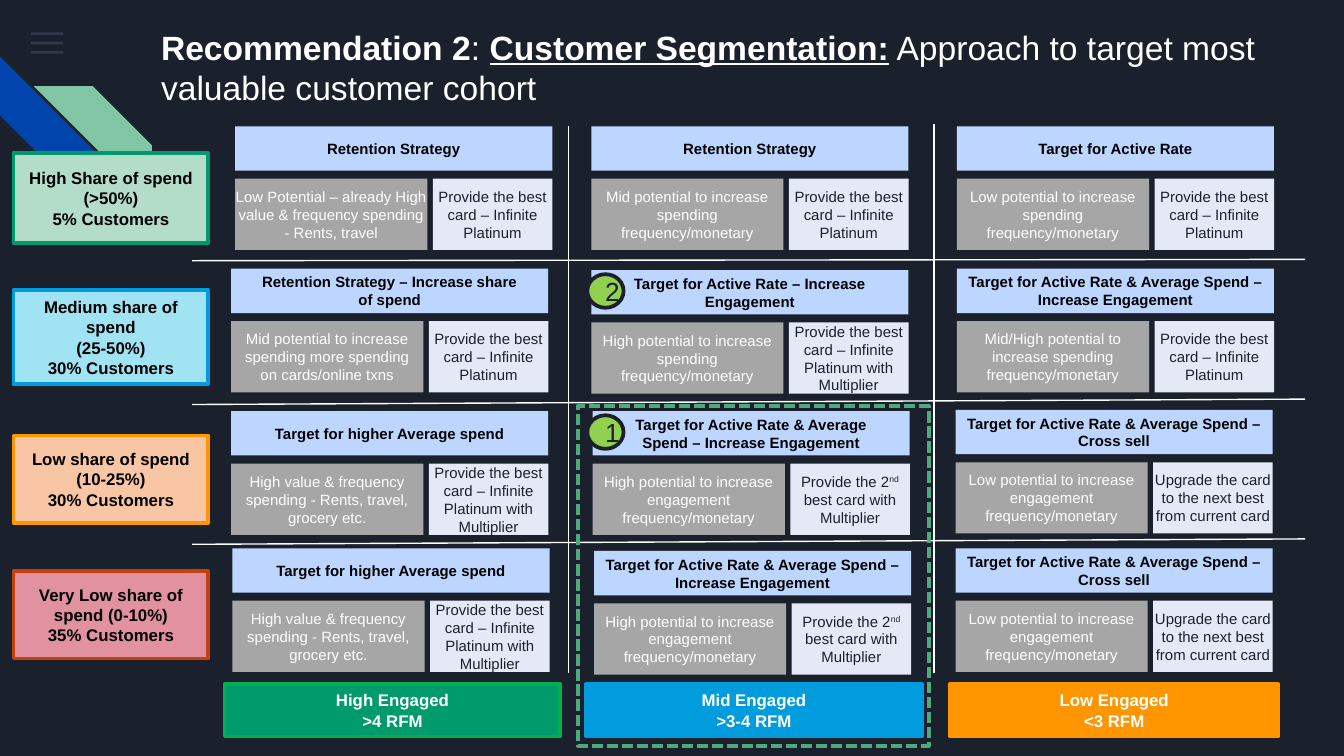
from pptx import Presentation
from pptx.dml.color import RGBColor
from pptx.enum.dml import MSO_LINE
from pptx.enum.shapes import MSO_CONNECTOR, MSO_SHAPE as Kind
from pptx.enum.text import MSO_ANCHOR, PP_ALIGN
from pptx.oxml.ns import qn
from pptx.util import Inches, Pt
from lxml.etree import SubElement

HUES = {
    "night": "1B212C", "white": "FFFFFF", "black": "000000",
    "slate": "55688B", "navy": "0145AC", "mint": "82C7A5",
    "head": "BCD6FF", "body": "A6A6A6", "offer": "E4E9F5",
    "green": "009B6D", "leaf": "00B050", "blue": "009CDE", "orange": "FF9600",
    "rust": "C2410C", "pale green": "B4DDC9", "pale blue": "A0E4F4",
    "peach": "F9C6A5", "rose": "E1919F", "dash": "4CAA7C", "lime": "92D050",
}

# Top, height, fill, edge, text
SHARES = [
    (1.14, 0.67, "pale green", "green", "High Share of spend\n(>50%)\n5% Customers"),
    (2.16, 0.7, "pale blue", "blue", "Medium share of\nspend\n(25-50%)\n30% Customers"),
    (3.24, 0.65, "peach", "orange", "Low share of spend\n(10-25%)\n30% Customers"),
    (4.25, 0.65, "rose", "rust", "Very Low share of spend (0-10%)\n35% Customers"),
]

# Left, width, fill, edge, text
LEVELS = [
    (1.67, 2.5, "green", "leaf", "High Engaged\n>4 RFM"),
    (4.36, 2.5, "blue", "blue", "Mid Engaged\n>3-4 RFM"),
    (7.07, 2.44, "orange", "orange", "Low Engaged\n<3 RFM"),
]

BEST = "Provide the best card – Infinite Platinum"
MULTI = BEST + " with Multiplier"
SECOND = "Provide the 2^nd^ best card with Multiplier"
UPGRADE = "Upgrade the card to the next best from current card"
ACTIVE = "Target for Active Rate"
SPEND = ACTIVE + " & Average Spend – "
GROW = " potential to increase spending frequency/monetary"
ENGAGE = " potential to increase engagement frequency/monetary"
HIGHER = "Target for higher Average spend"
RENTS = "High value & frequency spending - Rents, travel, grocery etc."

# Left, top, heading, body, offer
CARDS = [
    (1.75, 0.94, "Retention Strategy",
     "Low Potential – already High value & frequency spending - Rents, travel", BEST),
    (4.4, 0.94, "Retention Strategy", "Mid" + GROW, BEST),
    (7.12, 0.94, ACTIVE, "Low" + GROW, BEST),
    (1.72, 2, "Retention Strategy – Increase share\nof spend",
     "Mid potential to increase spending more spending\non cards/online txns", BEST),
    (4.4, 2.01, ACTIVE + " – Increase Engagement", "High" + GROW, MULTI),
    (7.12, 2, SPEND + "Increase Engagement", "Mid/High" + GROW, BEST),
    (1.72, 3.06, HIGHER, RENTS, MULTI),
    (4.41, 3.06, ACTIVE + " & Average\nSpend – Increase Engagement",
     "High" + ENGAGE, SECOND),
    (7.11, 3.05, SPEND + "Cross sell", "Low" + ENGAGE, UPGRADE),
    (1.73, 4.08, HIGHER, RENTS, MULTI),
    (4.42, 4.1, SPEND + "Increase Engagement", "High" + ENGAGE, SECOND),
    (7.11, 4.08, SPEND + "Cross sell", "Low" + ENGAGE, UPGRADE),
]

# From x, from y, to x, to y
RULES = [
    (1.43, 1.94, 9.71, 1.93), (1.43, 3.01, 9.71, 2.97), (1.43, 4.05, 9.71, 4.01),
    (4.23, 0.94, 4.23, 5.01), (6.95, 0.92, 6.95, 5.01),
]


def rgb(hue):
    return RGBColor.from_string(HUES[hue])


def add_run(para, text, size, hue, bold=False):
    run = para.add_run()
    run.text = text
    font = run.font
    font.name, font.size, font.bold = "Arial", Pt(size), bold
    font.color.rgb = rgb(hue)
    return run


def add_box(slide, area, fill=None, edge=None, kind=Kind.RECTANGLE):
    box = slide.shapes.add_shape(kind, *map(Inches, area))
    box.shadow.inherit = False
    if fill:
        box.fill.solid()
        box.fill.fore_color.rgb = rgb(fill)
    else:
        box.fill.background()
    if edge:
        box.line.color.rgb = rgb(edge)
        box.line.width = Pt(2)
    else:
        box.line.fill.background()
    return box


def write(box, text, size, hue, bold=False, inset=0):
    """Centre the text; parts between carets are superscript."""
    frame = box.text_frame
    frame.word_wrap = True
    frame.vertical_anchor = MSO_ANCHOR.MIDDLE
    if inset is not None:
        frame.margin_left = frame.margin_right = Inches(inset)
        frame.margin_top = frame.margin_bottom = Inches(inset)
    for i, row in enumerate(text.split("\n")):
        para = frame.add_paragraph() if i else frame.paragraphs[0]
        para.alignment = PP_ALIGN.CENTER
        for j, part in enumerate(row.split("^")):
            run = add_run(para, part, size, hue, bold)
            if j % 2:
                run._r.get_or_add_rPr().set("baseline", "30000")


def add_decor(slide):
    # Faint menu bars
    for i in range(3):
        bar = add_box(slide, (0.23, 0.24 + 0.07 * i, 0.24, 0.02), "slate")
        tint = bar._element.spPr.find(qn("a:solidFill"))[0]
        SubElement(tint, qn("a:alpha")).set("val", "36000")
    # Corner stripes
    stripe = add_box(slide, (0, 0.42, 0.88, 0.88), "navy", kind=Kind.DIAGONAL_STRIPE)
    stripe.rotation = 270
    stripe = add_box(slide, (0.25, 0.64, 0.88, 0.88), "mint", kind=Kind.DIAGONAL_STRIPE)
    stripe._element.spPr.find(qn("a:xfrm")).set("flipH", "1")


def add_title(slide, area):
    frame = slide.shapes.add_textbox(*map(Inches, area)).text_frame
    frame.word_wrap = True
    frame.margin_left = frame.margin_right = Inches(0.1)
    frame.margin_top = frame.margin_bottom = Inches(0.1)
    para = frame.paragraphs[0]
    add_run(para, "Recommendation 2", 18, "white", True)
    add_run(para, ": ", 18, "white")
    add_run(para, "Customer Segmentation:", 18, "white", True).font.underline = True
    add_run(para, " Approach to target most valuable customer cohort", 18, "white")


def add_rule(slide, ends):
    rule = slide.shapes.add_connector(MSO_CONNECTOR.STRAIGHT, *map(Inches, ends))
    rule.line.color.rgb = rgb("white")
    rule.line.width = Pt(0.75)
    SubElement(rule._element.spPr, qn("a:effectLst"))


def add_card(slide, left, top, head, body, offer):
    low = top + 0.39
    write(add_box(slide, (left, low, 1.43, 0.53), "body"), body, 8, "white")
    write(add_box(slide, (left + 1.47, low, 0.89, 0.53), "offer"), offer, 8, "night")
    write(add_box(slide, (left, top, 2.36, 0.33), "head"), head, 8, "black", True)


def add_focus(slide, area):
    # Dashed frame with ranked badges
    frame = add_box(slide, area, edge="dash")
    frame.line.dash_style = MSO_LINE.SQUARE_DOT
    left, top = area[:2]
    for rank, drop in (("1", 0.07), ("2", -0.98)):
        spot = (left + 0.07, top + drop, 0.27, 0.25)
        badge = add_box(slide, spot, "lime", "night", Kind.OVAL)
        write(badge, rank, 14, "night", inset=None)


def main():
    deck = Presentation()
    # Widescreen, 16 to 9
    deck.slide_width = Inches(10)
    deck.slide_height = Inches(10) * 9 // 16
    slide = deck.slides.add_slide(deck.slide_layouts[6])
    slide.background.fill.solid()
    slide.background.fill.fore_color.rgb = rgb("night")

    add_decor(slide)
    add_title(slide, (1.1, 0.1, 8.85, 0.78))
    for ends in RULES:
        add_rule(slide, ends)
    # Row and column labels
    for top, tall, fill, edge, text in SHARES:
        write(add_box(slide, (0.1, top, 1.45, tall), fill, edge), text, 9, "black", True)
    for left, wide, fill, edge, text in LEVELS:
        write(add_box(slide, (left, 5.09, wide, 0.39), fill, edge), text, 9, "white", True)
    for card in CARDS:
        add_card(slide, *card)
    add_focus(slide, (4.3, 3.02, 2.61, 2.53))
    deck.save("out.pptx")


if __name__ == "__main__":
    main()
